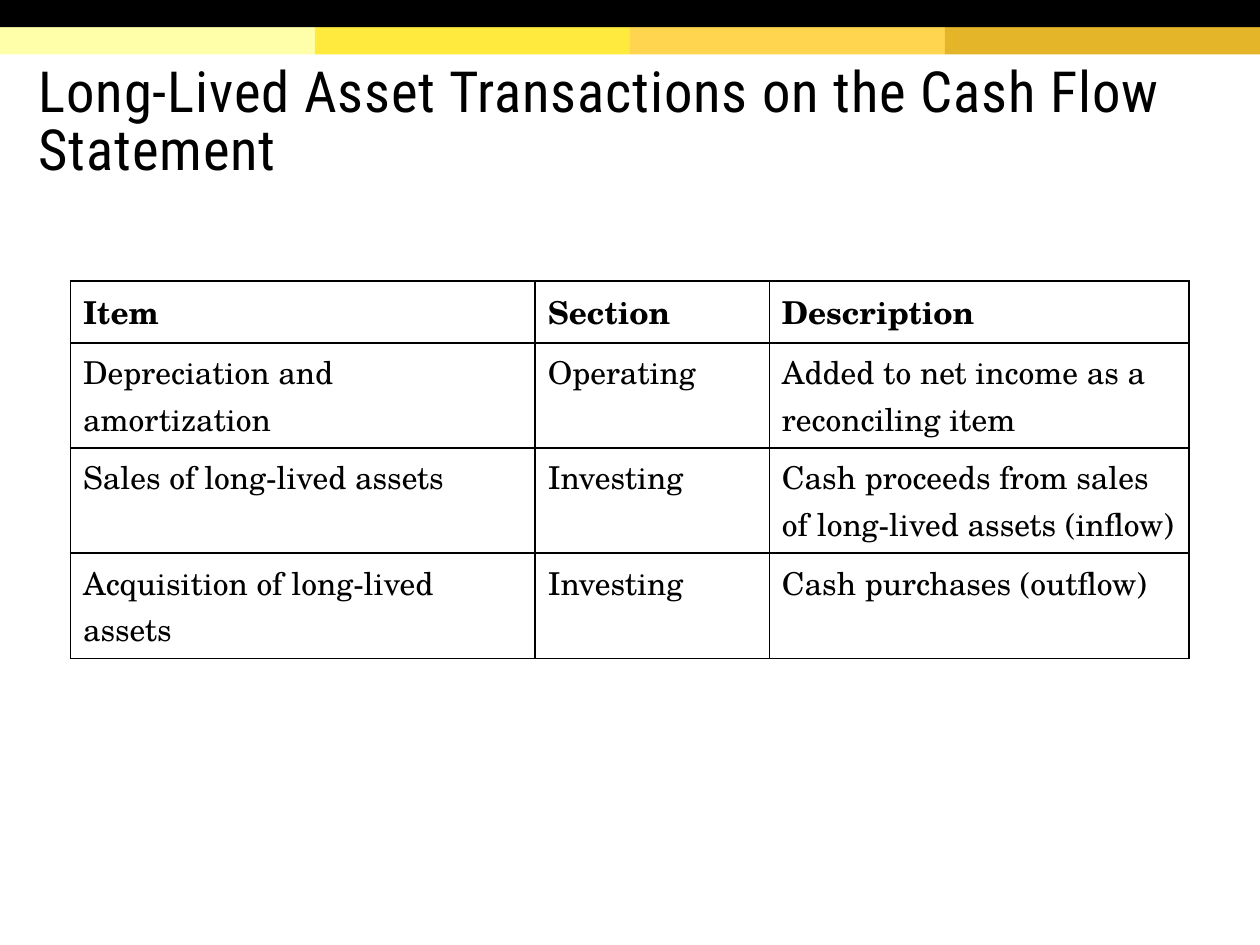
import pptx
import pptx.dml.color
import pptx.enum.shapes
import pptx.enum.text
import pptx.oxml
import pptx.oxml.ns
import pptx.util

Cm, Pt = pptx.util.Cm, pptx.util.Pt

# Content
TITLE = "Long-Lived Asset Transactions on the Cash Flow Statement"
ROWS = [
    ("Item", "Section", "Description"),
    ("Depreciation and amortization", "Operating",
     "Added to net income as a reconciling item"),
    ("Sales of long-lived assets", "Investing",
     "Cash proceeds from sales of long-lived assets (inflow)"),
    ("Acquisition of long-lived assets", "Investing",
     "Cash purchases (outflow)"),
]

# Style
COLORS = {"black": "000000", "cream": "FFFFAA", "yellow": "FFEA3D",
          "amber": "FFD54F", "gold": "E4B429"}
BANDS = ["cream", "yellow", "amber", "gold"]
TITLE_FONT, TABLE_FONT = "Roboto Condensed", "TeX Gyre Schola"
SLIDE_W, SLIDE_H, BAND_H = 25.4, 19.05, 0.55
COL_WIDTHS = [9.37, 4.72, 8.46]
ROW_HEIGHTS = [1.25, 2.12, 2.12, 2.12]


def rgb(name):
    return pptx.dml.color.RGBColor.from_string(COLORS[name])


def style_run(r, font, size, bold=False):
    r.font.name = font
    r.font.size = Pt(size)
    r.font.bold = bold
    r.font.color.rgb = rgb("black")


def add_bar(s, left, top, width, color):
    bar = s.shapes.add_shape(pptx.enum.shapes.MSO_SHAPE.RECTANGLE,
                             Cm(left), Cm(top), Cm(width), Cm(BAND_H))
    bar.shadow.inherit = False
    bar.fill.solid()
    bar.fill.fore_color.rgb = rgb(color)
    bar.line.fill.background()


def add_borders(cell):
    tc_pr = cell._tc.get_or_add_tcPr()
    for side in "LRTB":
        tc_pr.append(pptx.oxml.parse_xml(
            f'<a:ln{side} {pptx.oxml.ns.nsdecls("a")} w="{Pt(1)}"><a:solidFill>'
            f'<a:srgbClr val="{COLORS["black"]}"/></a:solidFill></a:ln{side}>'))


prs = pptx.Presentation()
prs.slide_width, prs.slide_height = Cm(SLIDE_W), Cm(SLIDE_H)
s = prs.slides.add_slide(prs.slide_layouts[6])

# Top bars
band_w = SLIDE_W / len(BANDS)
for i, color in enumerate(BANDS):
    add_bar(s, i * band_w, BAND_H, band_w, color)
add_bar(s, 0, 0, SLIDE_W, "black")

# Title
tf = s.shapes.add_textbox(Cm(0.53), Cm(1.19), Cm(24.1), Cm(2.49)).text_frame
tf.word_wrap = True
tf.vertical_anchor = pptx.enum.text.MSO_ANCHOR.MIDDLE
tf.margin_top = Cm(0.25)
tf.text = TITLE
p = tf.paragraphs[0]
p.line_spacing = 0.85
r = p.runs[0]
style_run(r, TITLE_FONT, 32.4)
r.font._element.set("spc", "50")

# Table
table = s.shapes.add_table(len(ROWS), len(COL_WIDTHS), Cm(1.42), Cm(5.66),
                           Cm(sum(COL_WIDTHS)), Cm(sum(ROW_HEIGHTS))).table
table.horz_banding = False
for column, width in zip(table.columns, COL_WIDTHS):
    column.width = Cm(width)
for i, (row, height, texts) in enumerate(zip(table.rows, ROW_HEIGHTS, ROWS)):
    row.height = Cm(height)
    for cell, text in zip(row.cells, texts):
        add_borders(cell)
        cell.fill.background()
        cell.text = text
        style_run(cell.text_frame.paragraphs[0].runs[0], TABLE_FONT, 18,
                  bold=i == 0)

prs.save("out.pptx")
